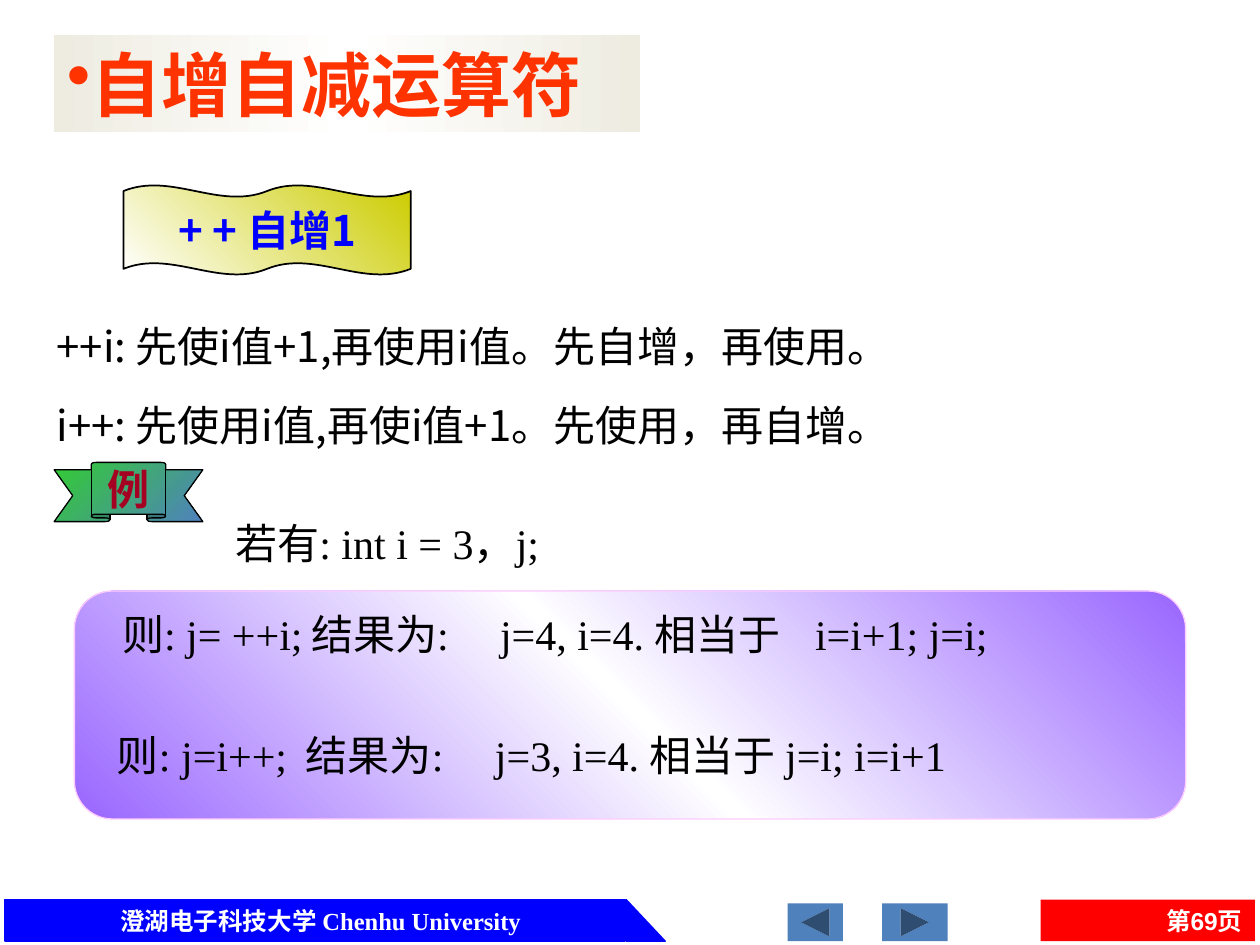
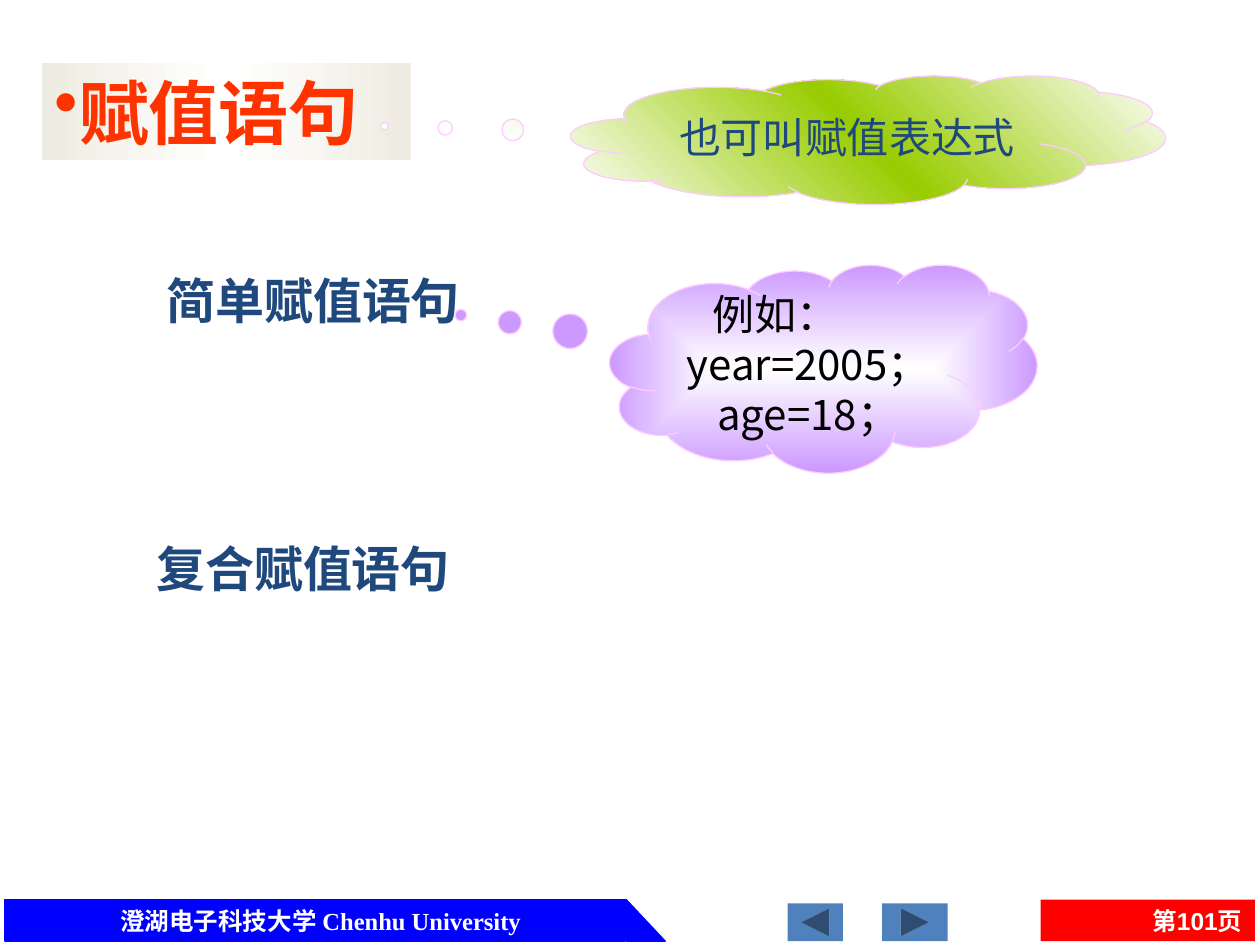
"""Build two lecture slides on increment operators and assignment statements."""
import lxml.etree
import pptx
import pptx.dml.color
import pptx.enum.shapes
import pptx.enum.text
import pptx.oxml.ns
import pptx.util

SHAPE = pptx.enum.shapes.MSO_SHAPE
ALIGN = pptx.enum.text.PP_ALIGN
ANCHOR = pptx.enum.text.MSO_ANCHOR
Inches = pptx.util.Inches
qn = pptx.oxml.ns.qn

TIMES, SANS = "Times New Roman", "Noto Sans CJK SC"
BLUE, RED, WHITE, BLACK = "0000FF", "FF0000", "FFFFFF", "000000"
NAVY, STEEL, PINK, ORANGE = "1F497D", "4F81BD", "FFCCFF", "FF3300"
TITLE_BAND = ["EEECE1", WHITE, "EEECE1"]
SCHOOL = "澄湖电子科技大学 Chenhu University"
FOOTER_TOP, FOOTER_HEIGHT = 7.14, 0.33
RESULT_TABS = (1.76, 3.18, 5.72)

SLIDES = [
    {
        "page": 69,
        "title": ("自增自减运算符", (0.43, 0.28, 4.65, 0.77)),
        "points": [
            ("++i: 先使i值+1,再使用i值。先自增，再使用。", (0.35, 2.49, 8.7, 0.5)),
            ("i++: 先使用i值,再使i值+1。先使用，再自增。", (0.35, 3.12, 8.39, 0.5)),
        ],
        "point_format": {"size": 24, "font": SANS},
        "shapes": [
            {"kind": SHAPE.FLOWCHART_ALTERNATE_PROCESS, "at": (0.59, 4.69, 8.82, 1.81),
             "colors": ["9966FF", WHITE, "9966FF"], "angle": 315, "line": PINK},
            {"kind": SHAPE.DOUBLE_WAVE, "at": (0.98, 1.47, 2.28, 0.71),
             "colors": [WHITE, "CCCC00"], "angle": 315, "line": BLACK, "line_width": 1,
             "adjust": (0.065, 0), "text": ["+ + 自增1"],
             "format": {"font": SANS, "color": BLUE, "bold": True, "wrap": False}},
            {"kind": SHAPE.UP_RIBBON, "at": (0.43, 3.67, 1.18, 0.47),
             "colors": ["33CC33", STEEL], "angle": 45, "line": BLACK,
             "adjust": (0.125, 0.5), "text": ["例"],
             "format": {"font": "Karla", "color": "A50021", "bold": True, "wrap": False}},
        ],
        "notes": [
            ("若有: int i = 3，j;", (1.77, 4.06, 3.54, 0.5)),
            ("则: j= ++i;\t结果为:\tj=4, i=4. 相当于\ti=i+1; j=i;", (0.87, 4.78, 8.55, 0.5)),
            ("则: j=i++;\t结果为:\tj=3, i=4. 相当于 j=i; i=i+1", (0.83, 5.74, 8.31, 0.5)),
        ],
    },
    {
        "page": 101,
        "title": ("赋值语句", (0.33, 0.5, 2.93, 0.77)),
        "points": [
            ("简单赋值语句", (1.22, 2.1, 2.99, 0.57)),
            ("复合赋值语句", (1.14, 4.22, 2.99, 0.57)),
        ],
        "point_format": {"size": 28, "color": NAVY, "bold": True},
        "shapes": [
            {"kind": SHAPE.CLOUD_CALLOUT, "at": (4.53, 0.6, 4.72, 1.02),
             "colors": [WHITE, "99CC00", WHITE], "angle": 315, "line": PINK,
             "adjust": (-0.813, -0.106), "text": ["也可叫赋值表达式"],
             "format": {"font": SANS, "color": NAVY}},
            {"kind": SHAPE.CLOUD_CALLOUT, "at": (4.84, 2.1, 3.39, 1.65),
             "colors": [WHITE, "CC99FF"], "angle": None, "line": PINK,
             "adjust": (-0.849, -0.257), "text": ["例如：", "year=2005；", "age=18；"],
             "format": {"font": SANS, "first_indent": 0.25}},
        ],
        "notes": [],
    },
]


def rgb(color):
    return pptx.dml.color.RGBColor.from_string(color)


def add_element(parent, tag, **attributes):
    element = lxml.etree.SubElement(parent, qn(tag))
    for name, value in attributes.items():
        element.set(name, str(value))
    return element


def place(shape, at):
    shape.left, shape.top, shape.width, shape.height = map(Inches, at)


def paint(shape, colors, angle):
    shape.fill.gradient()
    gradient = shape.element.spPr.find(qn("a:gradFill"))
    for child in list(gradient):
        gradient.remove(child)
    stops = add_element(gradient, "a:gsLst")
    for index, color in enumerate(colors):
        stop = add_element(stops, "a:gs", pos=100000 * index // (len(colors) - 1))
        add_element(stop, "a:srgbClr", val=color)
    if angle is None:
        center = add_element(gradient, "a:path", path="rect")
        add_element(center, "a:fillToRect", l=50000, t=50000, r=50000, b=50000)
    else:
        add_element(gradient, "a:lin", ang=angle * 60000, scaled=0)


def write(shape, lines, size=24, font=TIMES, color=BLACK, bold=False, align=ALIGN.LEFT,
          anchor=ANCHOR.TOP, wrap=True, bullet=None, tabs=(), first_indent=0):
    frame = shape.text_frame
    frame.auto_size = pptx.enum.text.MSO_AUTO_SIZE.NONE
    frame.word_wrap = wrap
    frame.vertical_anchor = anchor
    for index, line in enumerate(lines):
        paragraph = frame.paragraphs[0] if index == 0 else frame.add_paragraph()
        indent = first_indent if index == 0 else 0
        paragraph.alignment = ALIGN.LEFT if indent else align
        paragraph.space_before = pptx.util.Pt(0)
        properties = paragraph._p.get_or_add_pPr()
        properties.set("marL", str(Inches(indent)))
        properties.set("indent", "0")
        if bullet:
            add_element(properties, "a:buChar", char=bullet)
        else:
            add_element(properties, "a:buNone")
        if tabs:
            stops = add_element(properties, "a:tabLst")
            for position in tabs:
                add_element(stops, "a:tab", pos=Inches(position), algn="l")
        run = paragraph.add_run()
        run.text = line
        run.font.size = pptx.util.Pt(size)
        run.font.bold = bold
        run.font.name = font
        run.font.color.rgb = rgb(color)
        add_element(run.font._element, "a:ea", typeface=SANS)


def add_box(slide, text, at, **text_format):
    box = slide.shapes.add_textbox(*map(Inches, at))
    write(box, [text], **text_format)


def add_shape(slide, kind, at, fill=None, line=None, line_width=0.75, adjust=()):
    shape = slide.shapes.add_shape(kind, *map(Inches, at))
    shape.shadow.inherit = False
    if fill:
        shape.fill.solid()
        shape.fill.fore_color.rgb = rgb(fill)
    if line:
        shape.line.color.rgb = rgb(line)
        shape.line.width = pptx.util.Pt(line_width)
    else:
        shape.line.fill.background()
    for index, value in enumerate(adjust):
        shape.adjustments[index] = value
    return shape


def add_footer(slide, page):
    def band(left, width):
        return left, FOOTER_TOP, width, FOOTER_HEIGHT

    label = {"size": 14, "color": WHITE, "bold": True}
    add_shape(slide, SHAPE.RECTANGLE, band(0.04, 4.92), BLUE, BLUE)
    add_shape(slide, SHAPE.RIGHT_TRIANGLE, band(4.97, 0.31), BLUE, BLUE)
    add_box(slide, SCHOOL, band(0.33, 4.43), align=ALIGN.CENTER, **label)
    page_band = add_shape(slide, SHAPE.RECTANGLE, band(8.26, 1.7), RED)
    write(page_band, [f"第{page}页"], font="Arial", align=ALIGN.RIGHT,
          anchor=ANCHOR.MIDDLE, **label)
    for left, width, rotation in ((7, 0.52, 0), (6.25, 0.44, 180)):
        button = add_shape(slide, SHAPE.ACTION_BUTTON_FORWARD_OR_NEXT,
                           (left, 7.17, width, 0.3), STEEL)
        button.rotation = rotation


def add_slide(presentation, content):
    slide = presentation.slides.add_slide(presentation.slide_layouts[3])
    add_footer(slide, content["page"])
    title, at = content["title"]
    place(slide.shapes.title, at)
    paint(slide.shapes.title, TITLE_BAND, 0)
    write(slide.shapes.title, [title], size=40, color=ORANGE, bold=True, bullet="•")
    for index, (text, at) in enumerate(content["points"], start=1):
        place(slide.placeholders[index], at)
        write(slide.placeholders[index], [text], **content["point_format"])
    for item in content["shapes"]:
        shape = add_shape(slide, item["kind"], item["at"], line=item["line"],
                          line_width=item.get("line_width", 0.75),
                          adjust=item.get("adjust", ()))
        paint(shape, item["colors"], item["angle"])
        if "text" in item:
            write(shape, item["text"], align=ALIGN.CENTER, anchor=ANCHOR.MIDDLE,
                  **item["format"])
    for text, at in content["notes"]:
        add_box(slide, text, at, tabs=RESULT_TABS if "\t" in text else ())


def main():
    presentation = pptx.Presentation()
    presentation.slide_width, presentation.slide_height = Inches(10), Inches(7.5)
    for content in SLIDES:
        add_slide(presentation, content)
    presentation.save("out.pptx")


if __name__ == "__main__":
    main()
